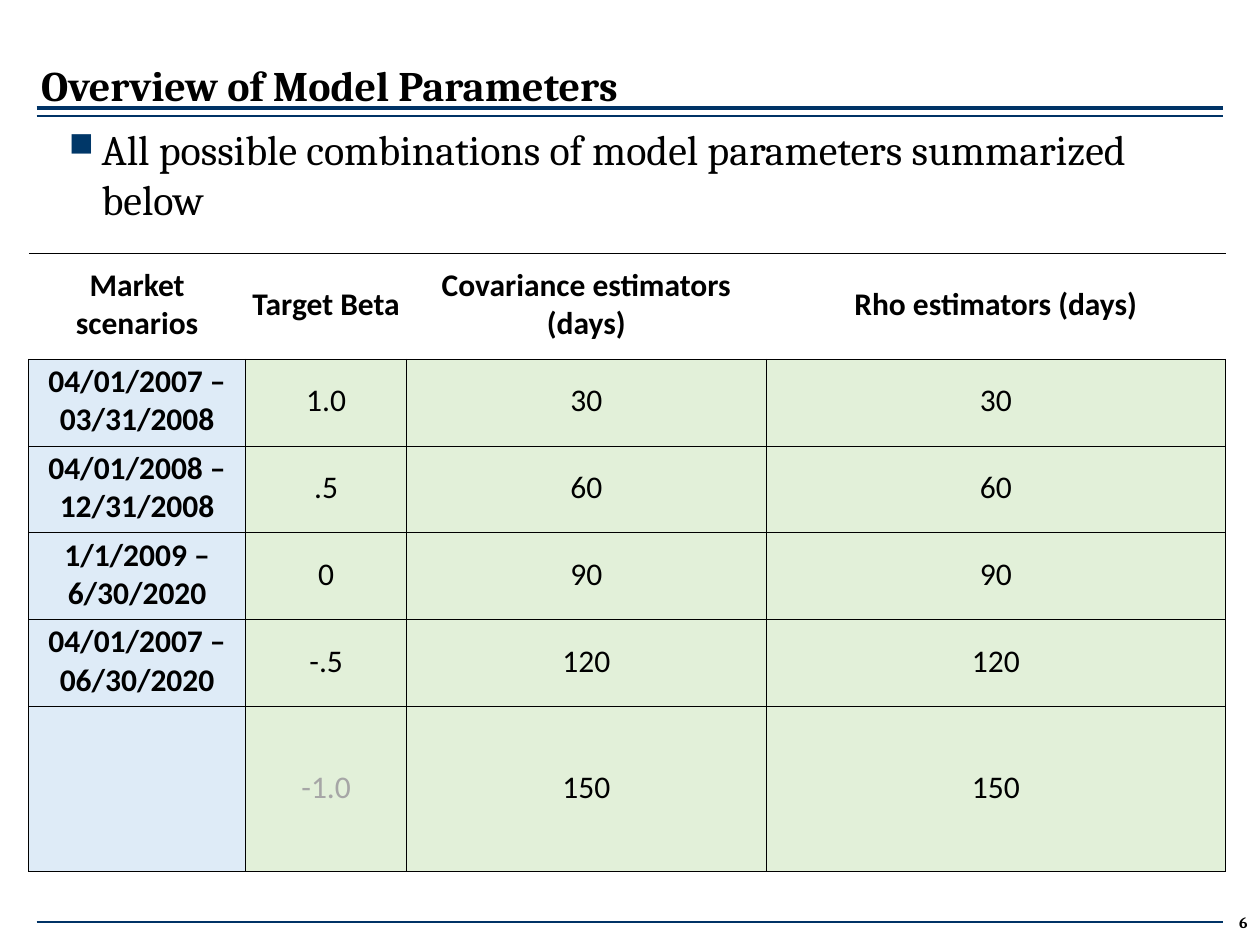
from lxml import etree
from pptx import Presentation
from pptx.dml.color import RGBColor
from pptx.enum.shapes import MSO_CONNECTOR
from pptx.enum.text import MSO_ANCHOR, PP_ALIGN
from pptx.oxml.ns import qn
from pptx.util import Cm, Pt

LINE = MSO_CONNECTOR.STRAIGHT
MIDDLE, TOP = MSO_ANCHOR.MIDDLE, MSO_ANCHOR.TOP
LEFT, CENTER, RIGHT = PP_ALIGN.LEFT, PP_ALIGN.CENTER, PP_ALIGN.RIGHT

COLORS = {
    "black": "000000",
    "navy": "003366",
    "bullet": "003768",
    "blue": "DEEBF7",
    "green": "E2F0D9",
    "gray": "A6A6A6",
}
ROWS = [
    ["Market scenarios", "Target Beta", "Covariance estimators (days)", "Rho estimators (days)"],
    ["04/01/2007 – 03/31/2008", "1.0", "30", "30"],
    ["04/01/2008 – 12/31/2008", ".5", "60", "60"],
    ["1/1/2009 – 6/30/2020", "0", "90", "90"],
    ["04/01/2007 – 06/30/2020", "-.5", "120", "120"],
    ["", "-1.0", "150", "150"],
]
WIDTHS = [4.37, 3.25, 7.24, 9.27]
HEIGHTS = [2.13, 1.75, 1.75, 1.75, 1.75, 3.33]


def color(name):
    return RGBColor.from_string(COLORS[name])


def style(para, size, face, bold=False, tone="black", align=LEFT):
    para.alignment = align
    for item in [para, *para.runs]:
        item.font.size = Pt(size)
        item.font.name = face
        item.font.bold = bold
        item.font.color.rgb = color(tone)


def add_text(slide, text, box, size, bold=False, align=LEFT, anchor=TOP):
    frame = slide.shapes.add_textbox(*map(Cm, box)).text_frame
    frame.word_wrap = True
    frame.vertical_anchor = anchor
    para = frame.paragraphs[0]
    para.text = text
    style(para, size, "Cambria", bold, align=align)
    return para


def add_bullet(para):
    props = para._p.get_or_add_pPr()
    props.set("marL", str(Cm(0.66)))
    props.set("indent", str(-Cm(0.66)))
    tint = etree.SubElement(props, qn("a:buClr"))
    etree.SubElement(tint, qn("a:srgbClr"), val=COLORS["bullet"])
    etree.SubElement(props, qn("a:buSzPct"), val="80000")
    etree.SubElement(props, qn("a:buChar"), char="■")


def add_rule(slide, top, width):
    rule = slide.shapes.add_connector(LINE, Cm(0.74), Cm(top), Cm(24.66), Cm(top))
    rule.line.color.rgb = color("navy")
    rule.line.width = Pt(width)
    etree.SubElement(rule._element.spPr, qn("a:effectLst"))


def set_edges(cell, widths):
    props = cell._tc.get_or_add_tcPr()
    for spot, (side, width) in enumerate(zip("LRTB", widths)):
        edge = etree.Element(qn("a:ln" + side), w=str(Pt(width)))
        if width:
            fill = etree.SubElement(edge, qn("a:solidFill"))
            etree.SubElement(fill, qn("a:srgbClr"), val=COLORS["black"])
        else:
            etree.SubElement(edge, qn("a:noFill"))
        props.insert(spot, edge)


def fill_cell(cell, text, row, col):
    head = row == 0
    cell.margin_left = cell.margin_right = cell.margin_top = Cm(0.03)
    cell.margin_bottom = Cm(0.1)
    cell.vertical_anchor = MIDDLE
    para = cell.text_frame.paragraphs[0]
    para.text = text
    tone = "gray" if text == "-1.0" else "black"
    style(para, 18, "Calibri", head or col == 0, tone, CENTER)
    if head:
        cell.fill.background()
        set_edges(cell, [0, 0, 1, 0.5])
    else:
        cell.fill.solid()
        cell.fill.fore_color.rgb = color("green" if col else "blue")
        set_edges(cell, [0.5] * 4)


def add_grid(slide):
    table = slide.shapes.add_table(
        len(ROWS), len(WIDTHS), Cm(0.58), Cm(5.11), Cm(sum(WIDTHS)), Cm(sum(HEIGHTS))
    ).table
    table.first_row = table.horz_banding = False
    for col, width in zip(table.columns, WIDTHS):
        col.width = Cm(width)
    for row, height in zip(table.rows, HEIGHTS):
        row.height = Cm(height)
    for row, texts in enumerate(ROWS):
        for col, text in enumerate(texts):
            fill_cell(table.cell(row, col), text, row, col)


def main():
    deck = Presentation()
    deck.slide_width, deck.slide_height = Cm(25.4), Cm(19.05)
    slide = deck.slides.add_slide(deck.slide_layouts[6])
    add_text(slide, "6", (23.5, 18.29, 1.9, 0.61), 9, True, RIGHT, MIDDLE)
    for top, width in [(2.18, 2), (2.34, 1), (18.59, 1)]:
        add_rule(slide, top, width)
    add_text(slide, "Overview of Model Parameters", (0.58, 1.07, 20.24, 1.09), 24, True)
    point = "All possible combinations of model parameters summarized below"
    add_bullet(add_text(slide, point, (1.14, 2.36, 22.1, 14.07), 24))
    add_grid(slide)
    deck.save("out.pptx")


if __name__ == "__main__":
    main()
